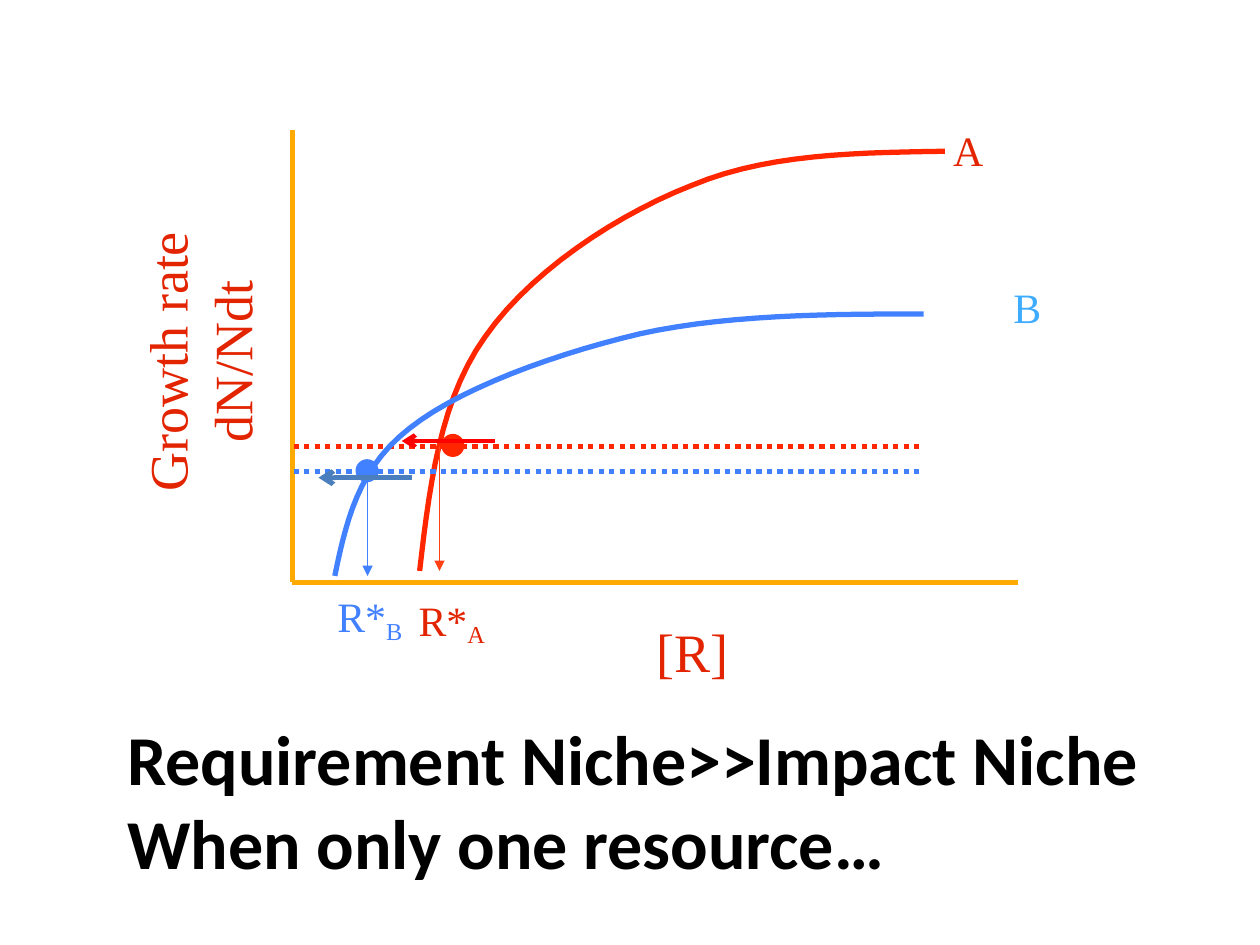
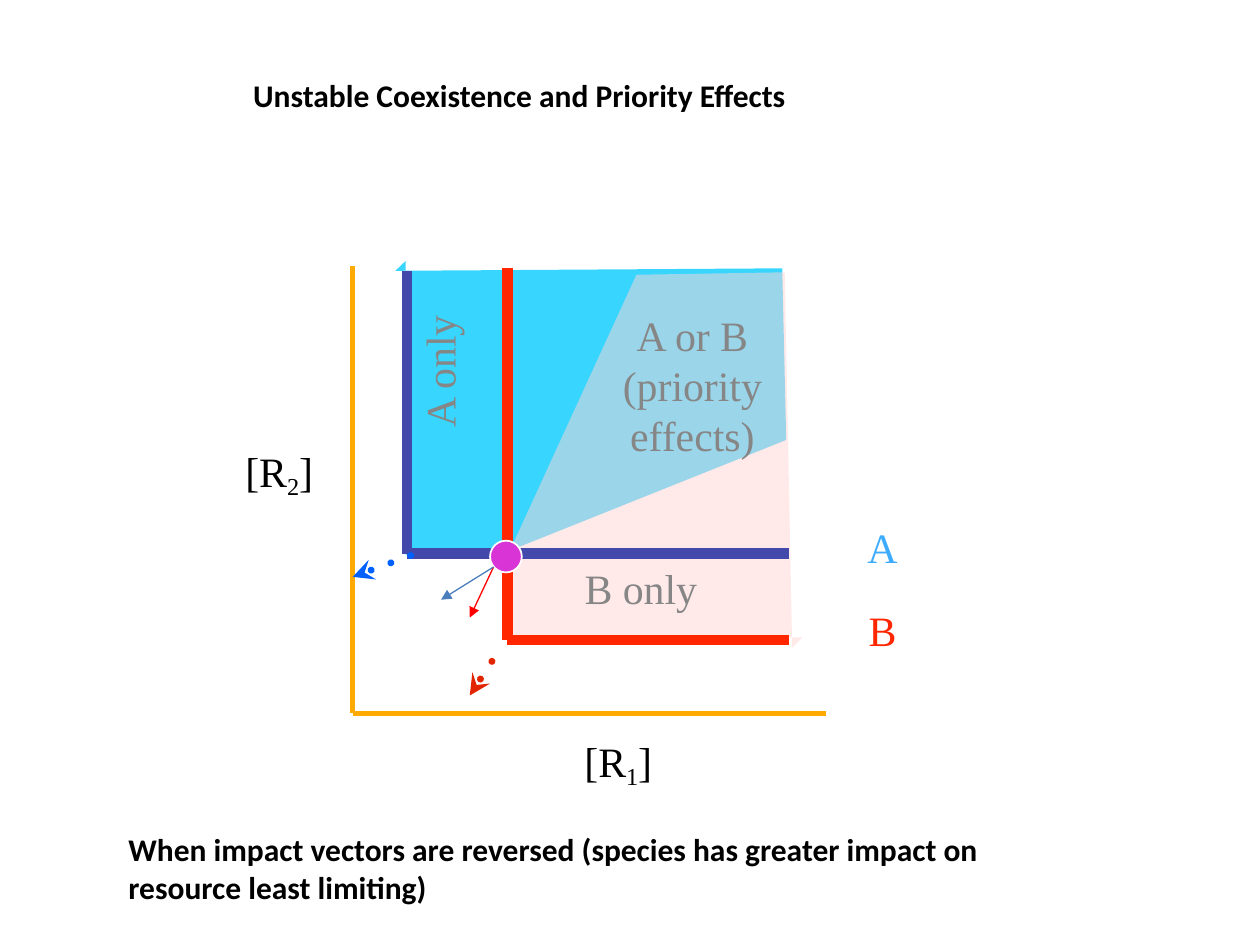
from dataclasses import dataclass
from typing import Any

from lxml import etree
from pptx import Presentation
from pptx import util as u
from pptx.dml.color import RGBColor
from pptx.enum import dml, shapes, text
from pptx.oxml import ns

BLACK = RGBColor(0x00, 0x00, 0x00)
WHITE = RGBColor(0xFF, 0xFF, 0xFF)
GREY = RGBColor(0x86, 0x86, 0x86)
ORANGE = RGBColor(0xFF, 0xAA, 0x00)
RED = RGBColor(0xFF, 0x26, 0x00)
DARK_RED = RGBColor(0xE3, 0x24, 0x00)
LIGHT_RED = RGBColor(0xFF, 0x40, 0x13)
PURE_RED = RGBColor(0xFF, 0x00, 0x00)
BLUE = RGBColor(0x41, 0x80, 0xFF)
SKY_BLUE = RGBColor(0x3D, 0xAC, 0xFF)
STEEL_BLUE = RGBColor(0x4B, 0x7E, 0xBC)
BRIGHT_BLUE = RGBColor(0x00, 0x61, 0xFF)
INDIGO = RGBColor(0x43, 0x49, 0xAA)
CYAN = RGBColor(0x38, 0xD5, 0xFF)
PINK = RGBColor(0xFF, 0xD6, 0xD5)
MAGENTA = RGBColor(0xD8, 0x34, 0xD6)

LABEL_FONT = "Times New Roman"
HEADING_FONT = "Calibri"
LABEL_SIZE = 23.9
AXIS_SIZE = 30.9
LABEL_WIDTH = 3.84
LABEL_HEIGHT = 1.22


def add_child(parent, tag, **attributes):
    return etree.SubElement(parent, ns.qn(tag), attributes)


def format_text(text_frame, font_name, size, color, bold=False, alignment=None):
    for paragraph in text_frame.paragraphs:
        paragraph.alignment = alignment
        for run in paragraph.runs:
            run.font.name = font_name
            run.font.size = u.Pt(size)
            run.font.bold = bold
            run.font.color.rgb = color


def format_heading(shape, box, words, size, wrap):
    shape.left, shape.top, shape.width, shape.height = map(u.Cm, box)
    frame = shape.text_frame
    frame.text = words
    frame.word_wrap = wrap
    frame.auto_size = text.MSO_AUTO_SIZE.NONE
    frame.vertical_anchor = text.MSO_ANCHOR.TOP
    format_text(frame, HEADING_FONT, size, BLACK, True, text.PP_ALIGN.LEFT)


@dataclass
class Diagram:
    slide: Any
    left: float
    top: float
    width: float
    height: float

    def place(self, x, y):
        return u.Cm(self.left + x), u.Cm(self.top + y)

    def line(self, start, end, color, weight, dash=None, head=None, tail=None):
        connector = self.slide.shapes.add_connector(
            shapes.MSO_CONNECTOR.STRAIGHT, *self.place(*start), *self.place(*end))
        connector.line.color.rgb = color
        connector.line.width = u.Pt(weight)
        if dash:
            connector.line.dash_style = dash
        outline = connector.line._get_or_add_ln()
        for tag, kind in (("a:headEnd", head), ("a:tailEnd", tail)):
            if kind:
                add_child(outline, tag, type=kind)
        add_child(connector._element.spPr, "a:effectLst")
        return connector

    def round_dotted_arrow(self, tip, end, color):
        outline = self.line(tip, end, color, 4, head="stealth").line._get_or_add_ln()
        outline.set("cap", "rnd")
        dashes = etree.Element(ns.qn("a:custDash"))
        add_child(dashes, "a:ds", d="1000", sp="300000")
        outline.insert(1, dashes)

    def corner(self, x, y, top, right, color, weight):
        self.line((x, y), (x, top), color, weight)
        self.line((x, y), (right, y), color, weight)

    def axes(self):
        self.corner(0, self.height, 0, self.width, ORANGE, 3)

    def outline(self, points, close):
        start, *rest = [self.place(*point) for point in points]
        builder = self.slide.shapes.build_freeform(*start)
        builder.add_line_segments(rest, close=close)
        shape = builder.convert_to_shape()
        shape.shadow.inherit = False
        return shape

    def curve(self, points, color):
        steps = 14
        samples = [points[0]]
        for first in range(0, len(points) - 1, 3):
            p0, p1, p2, p3 = points[first:first + 4]
            for step in range(1, steps + 1):
                t = step / steps
                samples.append(tuple(
                    (1 - t) ** 3 * a + 3 * (1 - t) ** 2 * t * b
                    + 3 * (1 - t) * t ** 2 * c + t ** 3 * d
                    for a, b, c, d in zip(p0, p1, p2, p3)))
        shape = self.outline(samples, False)
        shape.fill.background()
        shape.line.color.rgb = color
        shape.line.width = u.Pt(3)

    def region(self, points, color, opacity=None):
        shape = self.outline(points, True)
        shape.fill.solid()
        shape.fill.fore_color.rgb = color
        shape.line.fill.background()
        if opacity:
            fill = shape._element.spPr.find(ns.qn("a:solidFill"))
            add_child(fill[0], "a:alpha", val=str(opacity * 1000))

    def dot(self, x, y, size, fill, line):
        shape = self.slide.shapes.add_shape(
            shapes.MSO_SHAPE.OVAL, *self.place(x - size / 2, y - size / 2),
            u.Cm(size), u.Cm(size))
        shape.shadow.inherit = False
        shape.fill.solid()
        shape.fill.fore_color.rgb = fill
        shape.line.color.rgb = line
        shape.line.width = u.Pt(1)

    def label(self, x, y, words, color, width=LABEL_WIDTH, height=LABEL_HEIGHT,
              size=LABEL_SIZE, subscript="", ending="", rotation=0):
        box = self.slide.shapes.add_textbox(
            *self.place(x, y), u.Cm(width), u.Cm(height))
        box.rotation = rotation
        frame = box.text_frame
        frame.word_wrap = True
        frame.vertical_anchor = text.MSO_ANCHOR.MIDDLE
        frame.margin_left = frame.margin_right = u.Cm(0.1)
        frame.margin_top = frame.margin_bottom = u.Cm(0.1)
        frame.text = words
        if subscript:
            run = frame.paragraphs[0].add_run()
            run.text = subscript
            run._r.get_or_add_rPr().set("baseline", "-19000")
        if ending:
            frame.paragraphs[0].add_run().text = ending
        format_text(frame, LABEL_FONT, size, color, alignment=text.PP_ALIGN.CENTER)


def draw_growth_curves(slide, box):
    diagram = Diagram(slide, *box)
    dotted = dml.MSO_LINE.ROUND_DOT
    diagram.axes()
    diagram.label(6.02, 9.75, "[R]", DARK_RED, 4.11, 1.52, AXIS_SIZE)
    diagram.label(-5.18, 3.25, "Growth rate dN/Ndt", DARK_RED, 6.58, 2.84,
                  AXIS_SIZE, rotation=270)
    diagram.curve([(2.57, 8.89), (2.77, 7.19), (2.97, 5.46), (3.89, 4.17),
                   (4.8, 2.87), (6.5, 1.73), (8.05, 1.12),
                   (9.58, 0.48), (11.35, 0.46), (13.16, 0.43)], RED)
    diagram.line((0.03, 6.38), (12.73, 6.38), RED, 3, dotted)
    diagram.dot(3.24, 6.36, 0.43, RED, RED)
    diagram.line((2.97, 6.38), (2.97, 8.89), LIGHT_RED, 1, tail="triangle")
    diagram.curve([(0.86, 8.99), (1.09, 7.9), (1.32, 6.83), (2.36, 6.02),
                   (3.38, 5.21), (5.28, 4.52), (7.01, 4.11),
                   (8.74, 3.73), (10.72, 3.71), (12.73, 3.71)], BLUE)
    diagram.line((0.03, 6.88), (12.73, 6.88), BLUE, 3, dotted)
    diagram.dot(1.51, 6.87, 0.43, BLUE, BLUE)
    diagram.line((1.52, 7.09), (1.52, 8.99), BLUE, 1, tail="triangle")
    diagram.label(11.71, -0.2, "A", DARK_RED)
    diagram.label(12.9, 2.95, "B", SKY_BLUE)
    diagram.label(0.56, 9.22, "R*", BLUE, 2.01, subscript="B")
    diagram.label(2.21, 9.3, "R*", DARK_RED, 2.01, subscript="A")
    diagram.line((2.41, 7.01), (0.53, 7.01), STEEL_BLUE, 2.75, tail="arrow")
    diagram.line((4.09, 6.27), (2.21, 6.27), PURE_RED, 2.5, tail="arrow")


def draw_resource_plane(slide, box):
    diagram = Diagram(slide, *box)
    diagram.axes()
    diagram.label(3.3, 9.42, "[R", BLACK, 4.11, subscript="1", ending="]")
    diagram.label(-3.4, 3.56, "[R", BLACK, subscript="2", ending="]")
    diagram.label(8.76, 5.05, "A", SKY_BLUE)
    diagram.label(8.76, 6.73, "B", RED)
    diagram.region([(1.07, -0.1), (1.07, 5.82), (2.97, 5.82),
                    (8.74, 3.51), (8.66, 0.05), (0.86, 0.1)], CYAN)
    diagram.region([(9.07, 7.49), (3.23, 7.49), (3.23, 5.61),
                    (5.72, 0.18), (8.71, 0.13), (8.86, 7.7)], PINK, 50)
    diagram.label(3.89, 5.87, "B only", GREY)
    diagram.label(4.93, 0.76, "A or B\n(priority effects)", GREY, height=3.28)
    diagram.corner(3.12, 7.54, 0.05, 8.79, RED, 6)
    diagram.corner(1.09, 5.8, 0.1, 8.79, INDIGO, 6)
    diagram.label(-0.18, 1.52, "A only", GREY, rotation=270)
    diagram.dot(3.09, 5.86, 0.64, MAGENTA, WHITE)
    for tip, color in (((2.36, 7.09), PURE_RED), ((1.78, 6.73), STEEL_BLUE)):
        diagram.line((2.84, 6.07), tip, color, 0.75, tail="triangle")
    diagram.round_dotted_arrow((2.36, 8.66), (2.97, 7.72), DARK_RED)
    diagram.round_dotted_arrow((0, 6.27), (1.3, 5.79), BRIGHT_BLUE)


def add_titled_slide(presentation, box, words, size):
    slide = presentation.slides.add_slide(presentation.slide_layouts[5])
    format_heading(slide.shapes.title, box, words, size, False)
    return slide


def main():
    presentation = Presentation()
    presentation.slide_width = u.Cm(25.4)
    presentation.slide_height = u.Cm(19.05)

    slide = add_titled_slide(
        presentation, (2.31, 14.3, 21.44, 3.68),
        "Requirement Niche>>Impact Niche\nWhen only one resource…", 40)
    draw_growth_curves(slide, (5.89, 2.62, 14.63, 9.12))

    slide = add_titled_slide(
        presentation, (4.85, 1.4, 11.35, 1.02),
        "Unstable Coexistence and Priority Effects", 18)
    draw_resource_plane(slide, (7.11, 5.36, 9.55, 9.02))
    caption = slide.shapes.add_textbox(0, 0, 0, 0)
    format_heading(caption, (2.34, 16.61, 18.42, 1.8),
                   "When impact vectors are reversed (species has greater impact "
                   "on resource least limiting)", 18, True)

    presentation.save("out.pptx")


if __name__ == "__main__":
    main()
